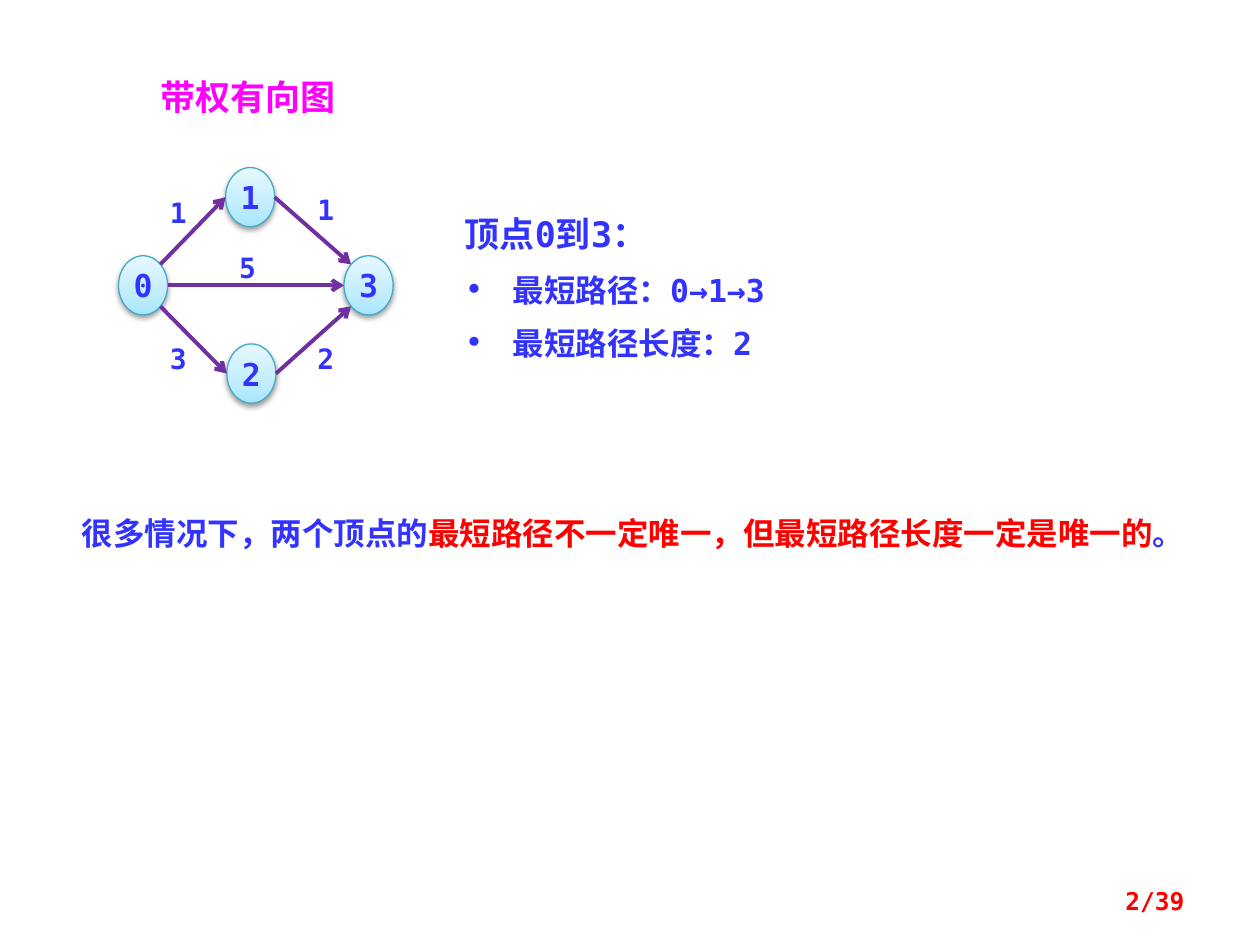
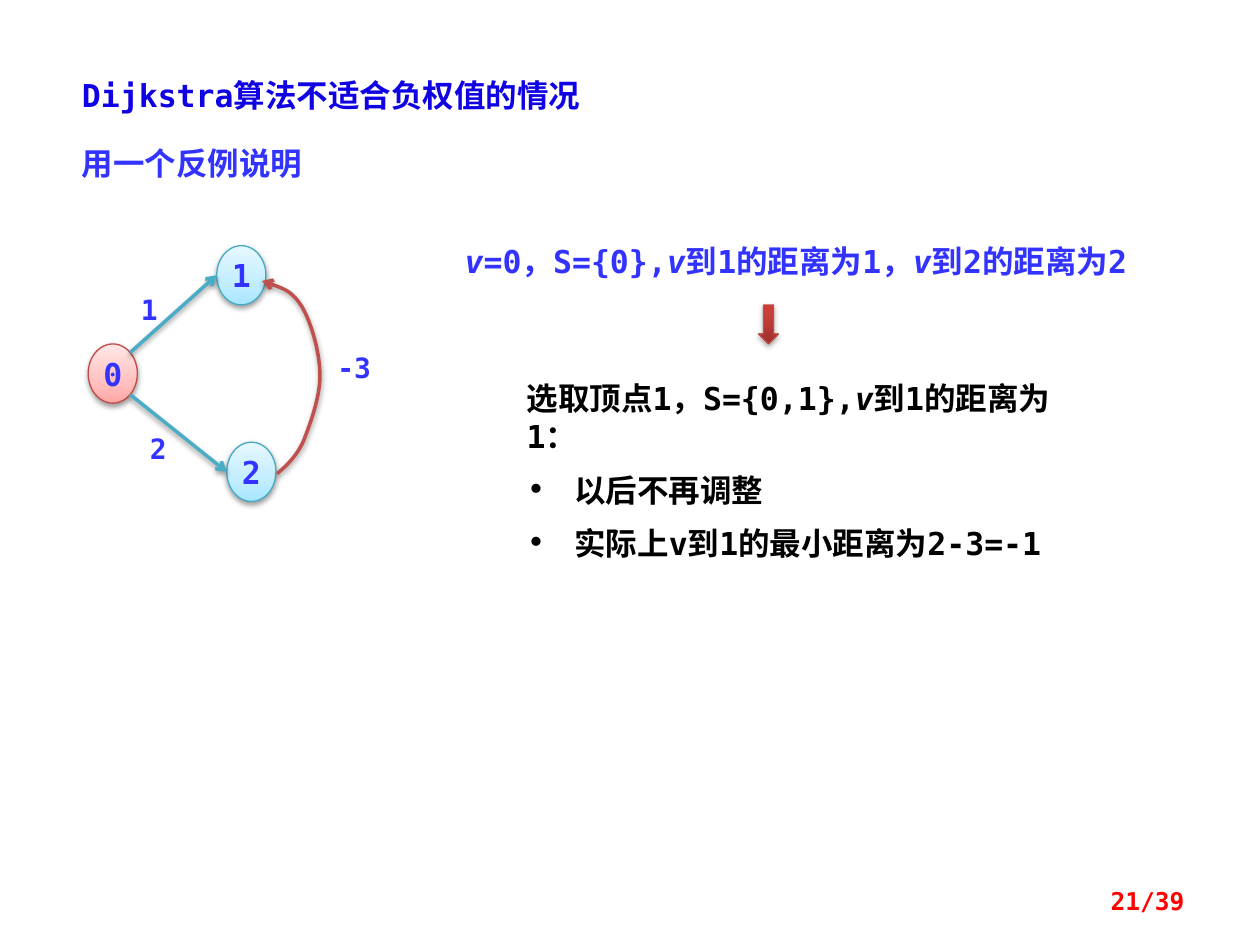
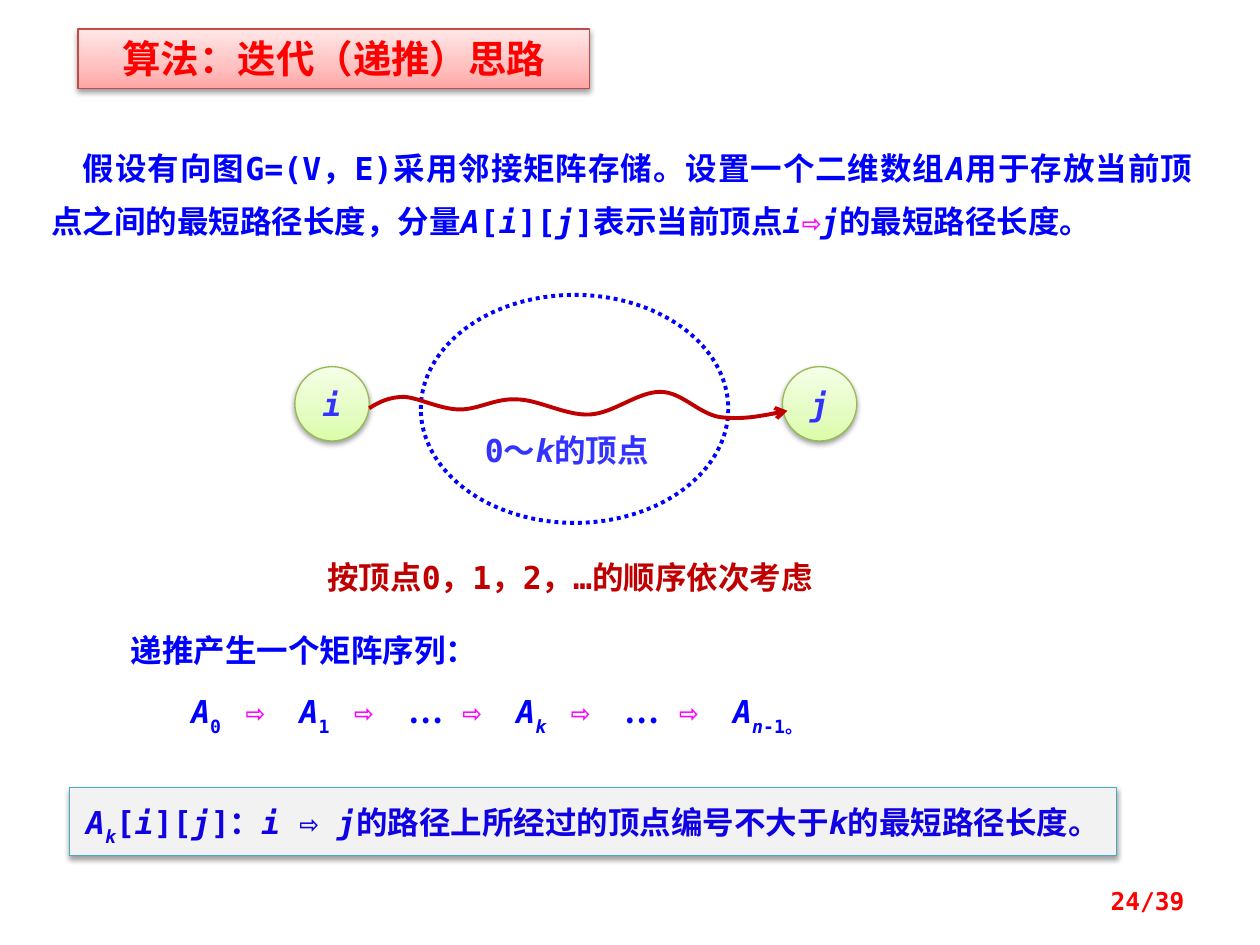
from copy import deepcopy
from dataclasses import dataclass
from lxml import etree
from pptx import Presentation
from pptx import util as u
from pptx.dml.color import RGBColor
from pptx.enum import dml, shapes, text
from pptx.oxml.ns import qn


@dataclass(frozen=True)
class Theme:
    mono: str = "DejaVu Sans Mono"
    cjk: str = "Noto Sans CJK SC"
    cjk_alt: str = "Noto Sans CJK JP"
    ink: str = "3333FF"
    deep: str = "1000E4"
    blue: str = "0000FF"
    red: str = "FF0000"
    crimson: str = "C00000"
    magenta: str = "FF00FF"
    purple: str = "7030A0"
    teal: str = "4BACC6"
    brick: str = "C0504D"
    black: str = "000000"
    white: str = "FFFFFF"
    grey: str = "F2F2F2"
    teal_rim: str = "46AAC5"
    red_rim: str = "BF4C48"
    green_rim: str = "98B955"
    aqua_fade: tuple = ((0, "A7E6FF"), (0.35, "C1EDFF"), (1, "E7F8FF"))
    pink_fade: tuple = ((0, "FFA6A5"), (0.35, "FFC0BF"), (1, "FFE7E7"))
    lime_fade: tuple = ((0, "DAFDA7"), (0.35, "E4FCC2"), (1, "F5FFE7"))
    red_fade: tuple = ((0, "9C2F2D"), (0.8, "CB3E3A"), (1, "CE3B37"))
    banner: int = 22
    heading: int = 20
    body: int = 18
    weight: int = 16
    footer: int = 14


T = Theme()
LEFT, CENTER = text.PP_ALIGN.LEFT, text.PP_ALIGN.CENTER
JUSTIFY, RIGHT = text.PP_ALIGN.JUSTIFY, text.PP_ALIGN.RIGHT
TOP, MIDDLE = text.MSO_ANCHOR.TOP, text.MSO_ANCHOR.MIDDLE
OVAL, RECT = shapes.MSO_SHAPE.OVAL, shapes.MSO_SHAPE.RECTANGLE
NODE_W, NODE_H = 0.39, 0.47
SIDES = {"e": (1, 0), "w": (-1, 0), "ne": (0.71, -0.71),
         "se": (0.71, 0.71), "nw": (-0.71, -0.71), "sw": (-0.71, 0.71)}


@dataclass(frozen=True)
class Span:
    text: str
    italic: bool = False
    sub: bool = False
    color: str = None
    font: str = None


def rgb(code):
    return RGBColor.from_string(code)


def spans(line):
    if not isinstance(line, str):
        return line
    return [Span(piece, italic=index % 2 == 1)
            for index, piece in enumerate(line.split("*")) if piece]


def add_span(paragraph, span, size, color, font):
    run = paragraph.add_run()
    run.text = span.text
    run.font.size = u.Pt(size)
    run.font.bold = True
    run.font.italic = span.italic
    run.font.color.rgb = rgb(span.color or color)
    run.font.name = span.font or font
    properties = run.font._element
    etree.SubElement(properties, qn("a:ea")).set("typeface", span.font or font)
    if span.sub:
        properties.set("baseline", "-30000")


def add_bullet(paragraph):
    layout = paragraph._p.get_or_add_pPr()
    layout.set("marL", str(u.Inches(0.38)))
    layout.set("indent", str(u.Inches(-0.38)))
    etree.SubElement(layout, qn("a:buFont")).set("typeface", T.mono)
    etree.SubElement(layout, qn("a:buChar")).set("char", "•")


def write(frame, lines, size=T.body, color=T.ink, font=T.mono,
          align=LEFT, anchor=TOP, leading=None, bulleted=False, grow=True, wrap=True):
    frame.word_wrap = wrap
    frame.vertical_anchor = anchor
    frame.auto_size = text.MSO_AUTO_SIZE.SHAPE_TO_FIT_TEXT if grow else text.MSO_AUTO_SIZE.NONE
    for index, line in enumerate(lines):
        paragraph = frame.add_paragraph() if index else frame.paragraphs[0]
        paragraph.alignment = align
        if leading:
            paragraph.line_spacing = u.Pt(leading)
        if index:
            paragraph.space_before = u.Pt(T.body / 2)
        if index and bulleted:
            add_bullet(paragraph)
        for span in spans(line):
            add_span(paragraph, span, size[index] if isinstance(size, list) else size,
                     color, font)


def place(item, left, top, width, height):
    item.left, item.top = u.Inches(left), u.Inches(top)
    item.width, item.height = u.Inches(width), u.Inches(height)


def note(canvas, box, lines, **style):
    area = canvas.add_textbox(*map(u.Inches, box))
    write(area.text_frame, lines, **style)
    return area.text_frame


def cast_shadow(item, alpha=38):
    effects = item._element.spPr.find(qn("a:effectLst"))
    shade = etree.SubElement(effects, qn("a:outerShdw"), blurRad="40000", dist="20000",
                             dir="5400000", rotWithShape="0")
    ink = etree.SubElement(shade, qn("a:srgbClr"), val=T.black)
    etree.SubElement(ink, qn("a:alpha"), val=str(alpha * 1000))


def fade(item, stops):
    item.fill.gradient()
    item.fill.gradient_angle = 90
    stop_list = item._element.spPr.find(".//" + qn("a:gsLst"))
    stop_list.append(deepcopy(stop_list[-1]))
    for stop, (position, color) in zip(item.fill.gradient_stops, stops):
        stop.position = position
        stop.color.rgb = rgb(color)


def paint(item, fill=None, rim=None, width=0.75, shadow=None):
    if isinstance(fill, tuple):
        fade(item, fill)
    elif fill:
        item.fill.solid()
        item.fill.fore_color.rgb = rgb(fill)
    else:
        item.fill.background()
    if rim:
        item.line.color.rgb = rgb(rim)
        item.line.width = u.Pt(width)
    else:
        item.line.fill.background()
    item.shadow.inherit = False
    if shadow:
        cast_shadow(item, shadow)


def figure(canvas, kind, box, **look):
    item = canvas.add_shape(kind, *map(u.Inches, box))
    paint(item, **look)
    return item


def vertex(canvas, name, left, top, fill=T.aqua_fade, rim=T.teal_rim):
    item = figure(canvas, OVAL, (left, top, NODE_W, NODE_H), fill=fill, rim=rim, shadow=38)
    write(item.text_frame, [name], align=CENTER, anchor=MIDDLE, grow=False, wrap=False)
    return item


def rim_point(node, side):
    across, down = SIDES[side]
    return (int(node.left + node.width * (1 + across) / 2),
            int(node.top + node.height * (1 + down) / 2))


def point_tail(item):
    etree.SubElement(item.line._get_or_add_ln(), qn("a:tailEnd")).set("type", "arrow")


def edge(canvas, start, start_side, end, end_side, color, width, shadow=False):
    link = canvas.add_connector(shapes.MSO_CONNECTOR.STRAIGHT,
                                *rim_point(start, start_side), *rim_point(end, end_side))
    link.line.color.rgb = rgb(color)
    link.line.width = u.Pt(width)
    point_tail(link)
    etree.SubElement(link._element.spPr, qn("a:effectLst"))
    if shadow:
        cast_shadow(link)


def curve(canvas, points, color, width, shadow=None):
    points = [(u.Inches(x), u.Inches(y)) for x, y in points]
    builder = canvas.build_freeform(*points[0])
    builder.add_line_segments(points[1:], close=False)
    item = builder.convert_to_shape()
    outline = item._element.spPr.find(".//" + qn("a:path"))
    legs = outline.findall(qn("a:lnTo"))
    for first in range(0, len(legs), 3):
        bend = etree.SubElement(outline, qn("a:cubicBezTo"))
        for leg in legs[first:first + 3]:
            bend.append(leg[0])
            outline.remove(leg)
    paint(item, rim=color, width=width, shadow=shadow)
    point_tail(item)


def weights(canvas, labels):
    for value, left, top in labels:
        width = 0.39 if len(value) == 1 else 0.55
        note(canvas, (left, top, width, 0.37), [value], size=T.weight)


def new_slide(deck, page, title, box, **style):
    slide = deck.slides.add_slide(deck.slide_layouts[5])
    place(slide.shapes.title, *box)
    write(slide.shapes.title.text_frame, [title], grow=False, **style)
    note(slide.shapes, (7.17, 6.95, 2.33, 0.4), [f"{page}/39"], size=T.footer,
         color=T.red, align=RIGHT, anchor=MIDDLE, grow=False)
    return slide


def weighted_digraph(deck):
    slide = new_slide(deck, 2, "带权有向图", (1.17, 0.55, 1.95, 0.44),
                      size=T.heading, color=T.magenta, font=T.cjk)
    canvas = slide.shapes
    places = [(0.94, 2.03), (1.79, 1.33), (1.8, 2.73), (2.73, 2.03)]
    nodes = [vertex(canvas, str(name), *spot) for name, spot in enumerate(places)]
    for start, leave, end, enter in [(0, "ne", 1, "w"), (0, "se", 2, "w"), (0, "e", 3, "w"),
                                     (1, "e", 3, "nw"), (2, "e", 3, "sw")]:
        edge(canvas, nodes[start], leave, nodes[end], enter, T.purple, 2.25)
    weights(canvas, [("1", 1.25, 1.5), ("5", 1.8, 1.94), ("1", 2.42, 1.48),
                     ("2", 2.42, 2.66), ("3", 1.25, 2.66)])
    note(canvas, (3.59, 1.64, 2.97, 1.35),
         ["顶点0到3：", "最短路径：0→1→3", "最短路径长度：2"],
         size=[T.heading, T.body, T.body], bulleted=True)
    note(canvas, (0.55, 3.91, 9.06, 0.52),
         [[Span("很多情况下，两个顶点的"),
           Span("最短路径不一定唯一，但最短路径长度一定是唯一的", color=T.red),
           Span("。")]], font=T.cjk_alt, leading=30)


def negative_weights(deck):
    slide = new_slide(deck, 21, "Dijkstra算法不适合负权值的情况",
                      (0.55, 0.55, 4.92, 0.4), color=T.deep)
    canvas = slide.shapes
    note(canvas, (0.55, 1.09, 2.27, 0.4), ["用一个反例说明"], font=T.cjk)

    graph = canvas.add_group_shape().shapes
    source = vertex(graph, "0", 0.7, 2.73, T.pink_fade, T.red_rim)
    upper = vertex(graph, "1", 1.72, 1.95)
    lower = vertex(graph, "2", 1.8, 3.51)
    edge(graph, source, "ne", upper, "w", T.teal, 2, shadow=True)
    edge(graph, source, "se", lower, "w", T.teal, 2, shadow=True)
    curve(graph, [(2.2, 3.76), (2.27, 3.7), (2.35, 3.63), (2.41, 3.5),
                  (2.46, 3.37), (2.54, 3.16), (2.54, 2.98),
                  (2.54, 2.8), (2.47, 2.56), (2.4, 2.44),
                  (2.32, 2.31), (2.2, 2.27), (2.08, 2.23)], T.brick, 2, shadow=38)
    weights(graph, [("1", 1.02, 2.27), ("2", 1.09, 3.38), ("-3", 2.58, 2.73)])

    note(canvas, (3.59, 1.87, 5.47, 0.4), ["*v*=0，S={0},*v*到1的距离为1，*v*到2的距离为2"])
    figure(canvas, shapes.MSO_SHAPE.DOWN_ARROW, (6.02, 2.42, 0.16, 0.31),
           fill=T.red_fade, rim=T.red_rim, shadow=35)
    outcome = figure(canvas, RECT, (3.98, 2.89, 4.77, 1.45), fill=T.white)
    frame = outcome.text_frame
    frame.margin_left = u.Inches(0.2)
    frame.margin_top = frame.margin_bottom = u.Inches(0.12)
    write(frame, ["选取顶点1，S={0,1},*v*到1的距离为1：", "以后不再调整",
                  "实际上v到1的最小距离为2-3=-1"], color=T.black, bulleted=True)


def matrix_sequence():
    hop = Span("\t⇨", color=T.magenta)
    dots = Span("\t…", font=T.cjk)
    matrix = Span("\tA", italic=True)
    return [matrix, Span("0", sub=True), hop, matrix, Span("1", sub=True), hop, dots, hop,
            matrix, Span("k", italic=True, sub=True), hop, dots, hop,
            matrix, Span("n", italic=True, sub=True), Span("-1。", sub=True)]


def set_tabs(paragraph, start, step, count):
    stops = etree.SubElement(paragraph._p.get_or_add_pPr(), qn("a:tabLst"))
    for index in range(count):
        etree.SubElement(stops, qn("a:tab"), pos=str(u.Inches(start + step * index)), algn="l")


def iteration_idea(deck):
    slide = new_slide(deck, 24, "算法：迭代（递推）思路", (0.62, 0.23, 4.06, 0.47),
                      size=T.banner, color=T.red, align=CENTER)
    canvas = slide.shapes
    paint(canvas.title, fill=T.pink_fade, rim=T.red_rim, shadow=38)

    premise = spans("假设有向图G=(V，E)采用邻接矩阵存储。设置一个二维数组*A*用于存放当前"
                    "顶点之间的最短路径长度，分量*A*[*i*][*j*]表示当前顶点*i*")
    premise += [Span("⇨", color=T.magenta)] + spans("*j*的最短路径长度。")
    frame = note(canvas, (0.31, 1.02, 9.25, 0.9), [premise], color=T.blue,
                 align=JUSTIFY, leading=30)
    frame.paragraphs[0]._p.get_or_add_pPr().set("indent", str(u.Inches(0.25)))

    route = canvas.add_group_shape().shapes
    for name, left in (("i", 2.34), ("j", 6.21)):
        end = figure(route, OVAL, (left, 2.91, 0.59, 0.59),
                     fill=T.lime_fade, rim=T.green_rim, shadow=38)
        write(end.text_frame, [f"*{name}*"], align=CENTER, anchor=MIDDLE, grow=False)
    middle = figure(route, OVAL, (3.34, 2.34, 2.44, 1.81), rim=T.blue, width=2.25)
    middle.line.dash_style = dml.MSO_LINE.ROUND_DOT
    curve(route, [(2.93, 3.24), (3.01, 3.19), (3.09, 3.15), (3.21, 3.15),
                  (3.33, 3.16), (3.5, 3.25), (3.65, 3.25),
                  (3.8, 3.25), (3.93, 3.16), (4.1, 3.17),
                  (4.27, 3.17), (4.49, 3.3), (4.68, 3.29),
                  (4.87, 3.28), (5.06, 3.11), (5.24, 3.11),
                  (5.41, 3.11), (5.54, 3.28), (5.71, 3.31),
                  (5.88, 3.33), (6.06, 3.3), (6.25, 3.26)], T.crimson, 2.25)
    note(route, (3.75, 3.37, 1.72, 0.4), ["0～*k*的顶点"])

    note(canvas, (2.5, 4.38, 4.53, 0.4), ["按顶点0，1，2，…的顺序依次考虑"], color=T.crimson)
    frame = note(canvas, (0.94, 4.84, 6.33, 1.09), ["递推产生一个矩阵序列：", matrix_sequence()],
                 color=T.blue, align=JUSTIFY, leading=30)
    set_tabs(frame.paragraphs[1], 0.48, 0.43, 11)

    meaning = figure(canvas, RECT, (0.55, 6.25, 8.31, 0.54),
                     fill=T.grey, rim=T.teal_rim, shadow=38)
    frame = meaning.text_frame
    frame.margin_left = frame.margin_right = u.Inches(0.02)
    frame.margin_top = frame.margin_bottom = u.Inches(0.12)
    definition = [Span("A", italic=True), Span("k", italic=True, sub=True)]
    definition += spans("[*i*][*j*]：*i *⇨ *j*的路径上所经过的顶点编号不大于*k*的最短路径长度。")
    write(frame, [definition], color=T.deep, align=CENTER, grow=False)


def main():
    deck = Presentation()
    deck.slide_width, deck.slide_height = u.Inches(10), u.Inches(7.5)
    weighted_digraph(deck)
    negative_weights(deck)
    iteration_idea(deck)
    deck.save("out.pptx")


main()
